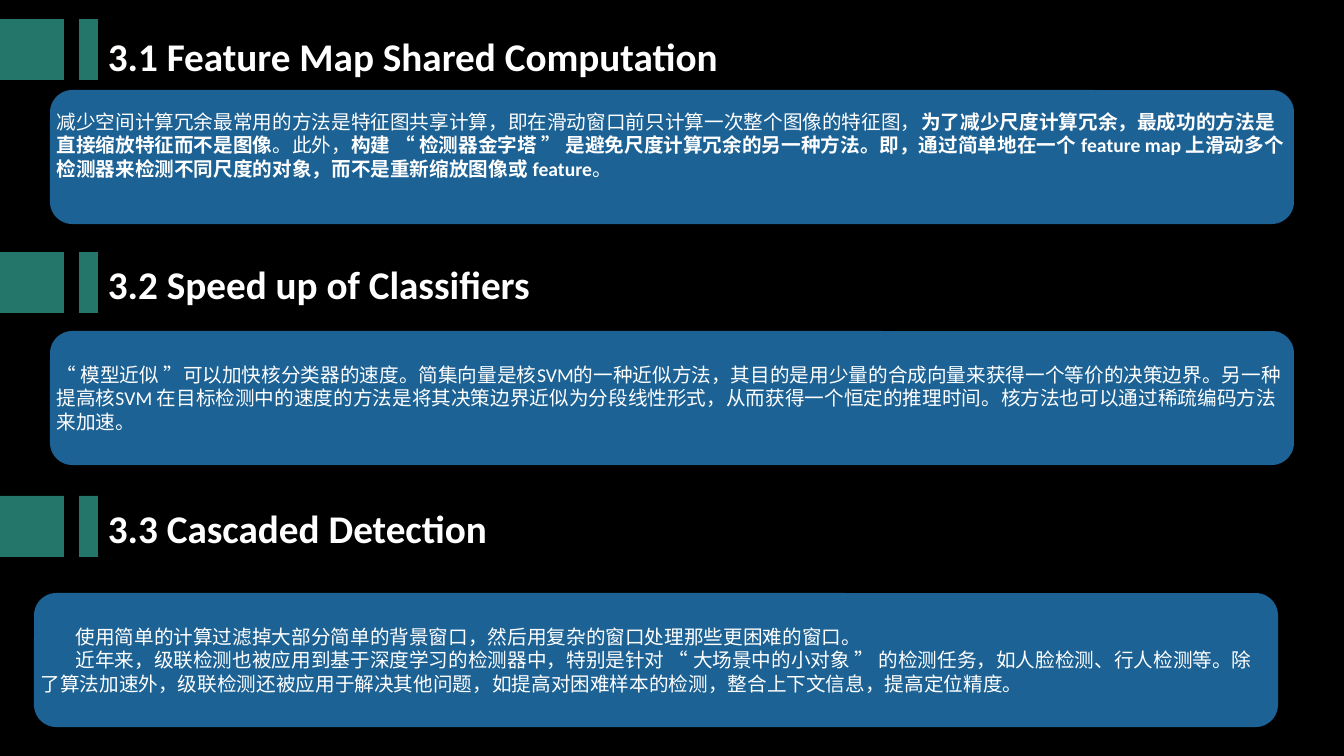
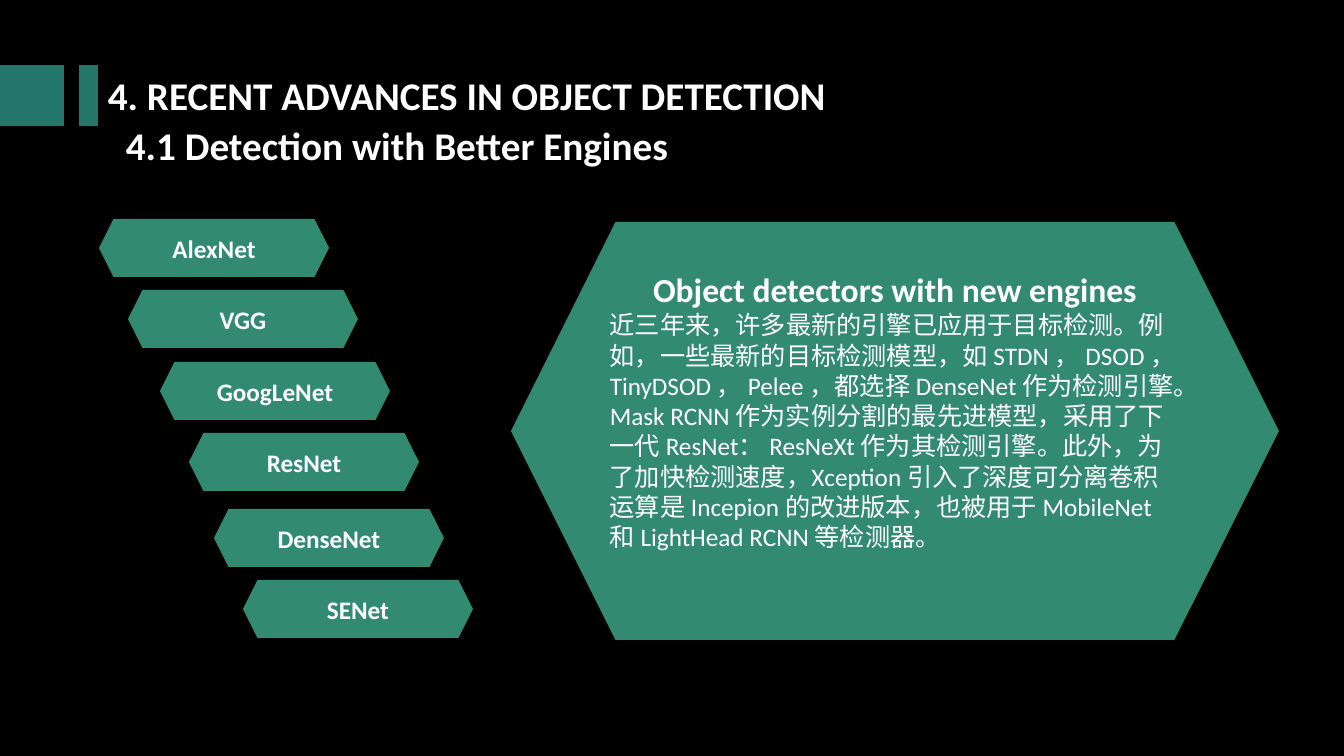
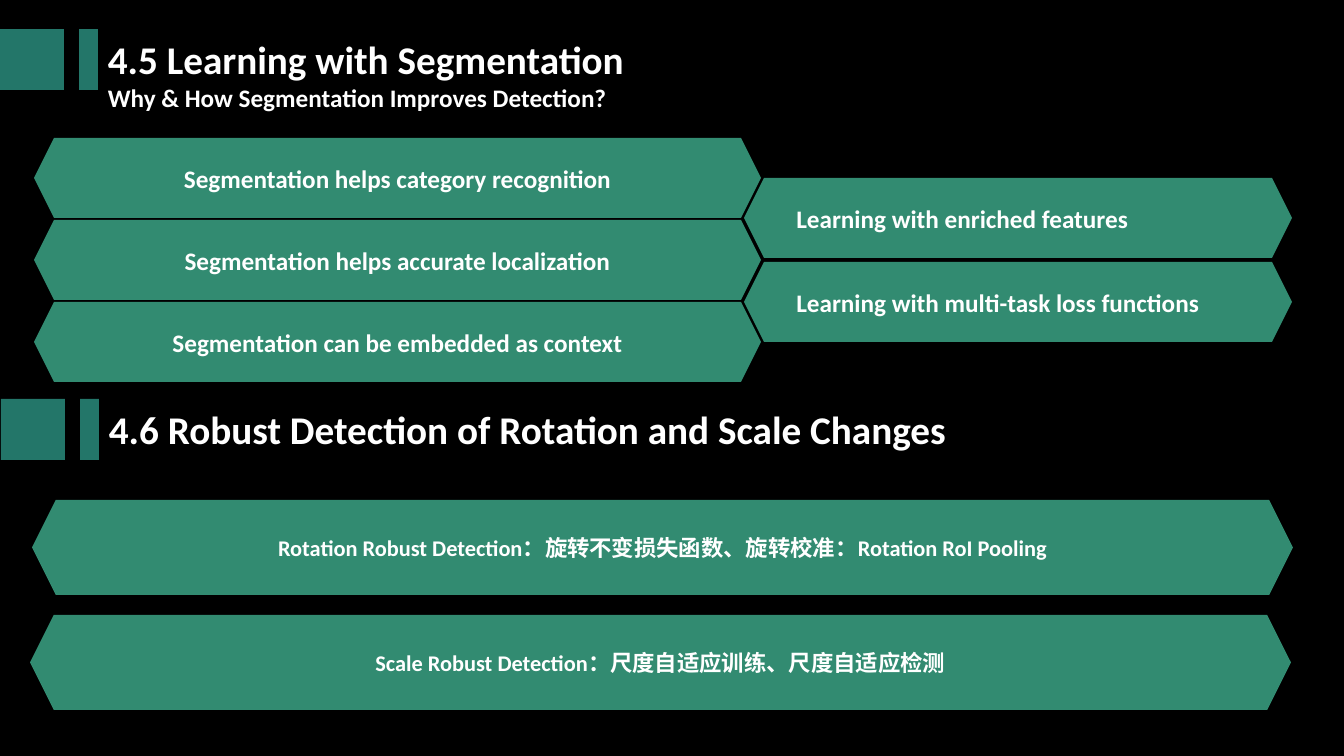
from pptx import Presentation
from pptx import util as u
from pptx.dml import color
from pptx.enum import shapes, text

COLORS = {
    "background": "000000",
    "marker": "237669",
    "panel": "1D6294",
    "hexagon": "328B71",
    "text": "FFFFFF",
}
FONT = "Calibri"
PX = 914400 / 100.8
SLIDE_SIZE = (1344, 756)
LEFT = text.PP_ALIGN.LEFT
CENTER = text.PP_ALIGN.CENTER
TITLE = {"size": 28, "bold": True}
LABEL = {"size": 18, "bold": True, "align": CENTER}


def px(length):
    return u.Emu(round(length * PX))


def paint(fill, name):
    fill.solid()
    fill.fore_color.rgb = color.RGBColor.from_string(COLORS[name])


def add_slide(presentation):
    slide = presentation.slides.add_slide(presentation.slide_layouts[6])
    paint(slide.background.fill, "background")
    return slide


def write(frame, content, size=14, bold=False, align=LEFT, indent=0):
    paragraph = frame.paragraphs[0]
    if paragraph.runs:
        paragraph = frame.add_paragraph()
    paragraph.alignment = align
    if indent:
        paragraph._p.get_or_add_pPr().set("indent", str(px(indent)))
    runs = [(content, bold)] if isinstance(content, str) else content
    for words, is_bold in runs:
        run = paragraph.add_run()
        run.text = words
        run.font.name = FONT
        run.font.size = u.Pt(size)
        run.font.bold = is_bold
        run.font.color.rgb = color.RGBColor.from_string(COLORS["text"])


def add_text_box(slide, x, y, width, height):
    frame = slide.shapes.add_textbox(px(x), px(y), px(width), px(height)).text_frame
    frame.word_wrap = True
    return frame


def add_block(slide, kind, fill, x, y, width, height, bottom=5):
    shape = slide.shapes.add_shape(kind, px(x), px(y), px(width), px(height))
    shape.shadow.inherit = False
    paint(shape.fill, fill)
    shape.line.fill.background()
    frame = shape.text_frame
    frame.word_wrap = True
    frame.vertical_anchor = text.MSO_ANCHOR.MIDDLE
    frame.margin_left = frame.margin_right = 0
    frame.margin_top = px(5)
    frame.margin_bottom = px(bottom)
    return frame


def add_panel(slide, x, y, bottom=5):
    kind = shapes.MSO_SHAPE.ROUNDED_RECTANGLE
    return add_block(slide, kind, "panel", x, y, 1244, 134, bottom)


def add_hexagon(slide, x, y, width, height, bottom=5):
    kind = shapes.MSO_SHAPE.HEXAGON
    return add_block(slide, kind, "hexagon", x, y, width, height, bottom)


def add_heading(slide, title, y, drop=1, x=0, width=794, height=57):
    for offset, marker_width in ((0, 64), (79, 19)):
        kind = shapes.MSO_SHAPE.RECTANGLE
        add_block(slide, kind, "marker", x + offset, y, marker_width, 61)
    frame = add_text_box(slide, x + 98, y + drop, width, height)
    write(frame, title, **TITLE)
    return frame


def build_speed_up(presentation):
    slide = add_slide(presentation)
    add_heading(slide, "3.1 Feature Map Shared Computation", 19, drop=8)
    write(add_panel(slide, 50, 90, bottom=29), [
        ("减少空间计算冗余最常用的方法是特征图共享计算，即在滑动窗口前只计算一次整个图像的特征图，", False),
        ("为了减少尺度计算冗余，最成功的方法是直接缩放特征而不是图像", True),
        ("。此外，", False),
        ("构建 “ 检测器金字塔 ” 是避免尺度计算冗余的另一种方法。即，通过简单地在一个 feature map "
         "上滑动多个检测器来检测不同尺度的对象，而不是重新缩放图像或 feature", True),
        ("。", False),
    ])

    add_heading(slide, "3.2 Speed up of Classifiers", 252, drop=3)
    write(add_panel(slide, 50, 331),
          "“ 模型近似 ”可以加快核分类器的速度。简集向量是核SVM的一种近似方法，"
          "其目的是用少量的合成向量来获得一个等价的决策边界。"
          "另一种提高核SVM 在目标检测中的速度的方法是将其决策边界近似为分段线性形式，"
          "从而获得一个恒定的推理时间。核方法也可以通过稀疏编码方法来加速。")

    add_heading(slide, "3.3 Cascaded Detection", 496, drop=3)
    frame = add_panel(slide, 34, 593)
    for content in (
        "使用简单的计算过滤掉大部分简单的背景窗口，然后用复杂的窗口处理那些更困难的窗口。",
        "近年来，级联检测也被应用到基于深度学习的检测器中，特别是针对 “ 大场景中的小对象 ” "
        "的检测任务，如人脸检测、行人检测等。除了算法加速外，级联检测还被应用于解决其他问题，"
        "如提高对困难样本的检测，整合上下文信息，提高定位精度。",
    ):
        write(frame, content, indent=35)


def build_engines(presentation):
    slide = add_slide(presentation)
    add_heading(slide, "4. RECENT ADVANCES IN OBJECT DETECTION", 65, width=769)
    write(add_text_box(slide, 116, 116, 687, 105), "4.1 Detection with Better Engines", **TITLE)

    engine_pairs = (
        (99, 219, ("AlexNet", "VGG")),
        (160, 362, ("GoogLeNet", "ResNet")),
        (214, 509, ("DenseNet", "SENet")),
    )
    for x, y, engines in engine_pairs:
        for step, engine in enumerate(engines):
            write(add_hexagon(slide, x + 29 * step, y + 71 * step, 230, 58), engine, **LABEL)

    frame = add_hexagon(slide, 511, 222, 768, 418, bottom=46)
    write(frame, "Object detectors with new engines", size=24, bold=True, align=CENTER)
    write(frame,
          "近三年来，许多最新的引擎已应用于目标检测。例如，一些最新的目标检测模型，如 STDN ， "
          "DSOD ， TinyDSOD ， Pelee ，都选择 DenseNet 作为检测引擎。"
          "Mask RCNN 作为实例分割的最先进模型，采用了下一代 ResNet： ResNeXt 作为其检测引擎。"
          "此外，为了加快检测速度，Xception 引入了深度可分离卷积运算是 Incepion 的改进版本，"
          "也被用于 MobileNet 和 LightHead RCNN 等检测器。", size=18)


def build_segmentation(presentation):
    slide = add_slide(presentation)
    frame = add_heading(slide, "4.5 Learning with Segmentation", 29, width=630, height=139)
    write(frame, "Why & How Segmentation Improves Detection?", size=18, bold=True)

    reasons = (
        "Segmentation helps category recognition",
        "Segmentation helps accurate localization",
        "Segmentation can be embedded as context",
    )
    for row, reason in enumerate(reasons):
        write(add_hexagon(slide, 34, 138 + 82 * row, 727, 80), reason, **LABEL)

    methods = ("Learning with enriched features", "Learning with multi-task loss functions")
    for row, method in enumerate(methods):
        write(add_hexagon(slide, 744, 178 + 84 * row, 548, 80), method, size=18, bold=True)

    add_heading(slide, "4.6 Robust Detection of Rotation and Scale Changes", 399, x=1, width=884)
    changes = (
        (32, "Rotation Robust Detection：旋转不变损失函数、旋转校准：Rotation RoI Pooling"),
        (30, "Scale Robust Detection：尺度自适应训练、尺度自适应检测"),
    )
    for row, (x, change) in enumerate(changes):
        frame = add_hexagon(slide, x, 500 + 115 * row, 1261, 95)
        write(frame, change, size=16, bold=True, align=CENTER)


def main():
    presentation = Presentation()
    presentation.slide_width, presentation.slide_height = map(px, SLIDE_SIZE)
    build_speed_up(presentation)
    build_engines(presentation)
    build_segmentation(presentation)
    presentation.save("out.pptx")


if __name__ == "__main__":
    main()
